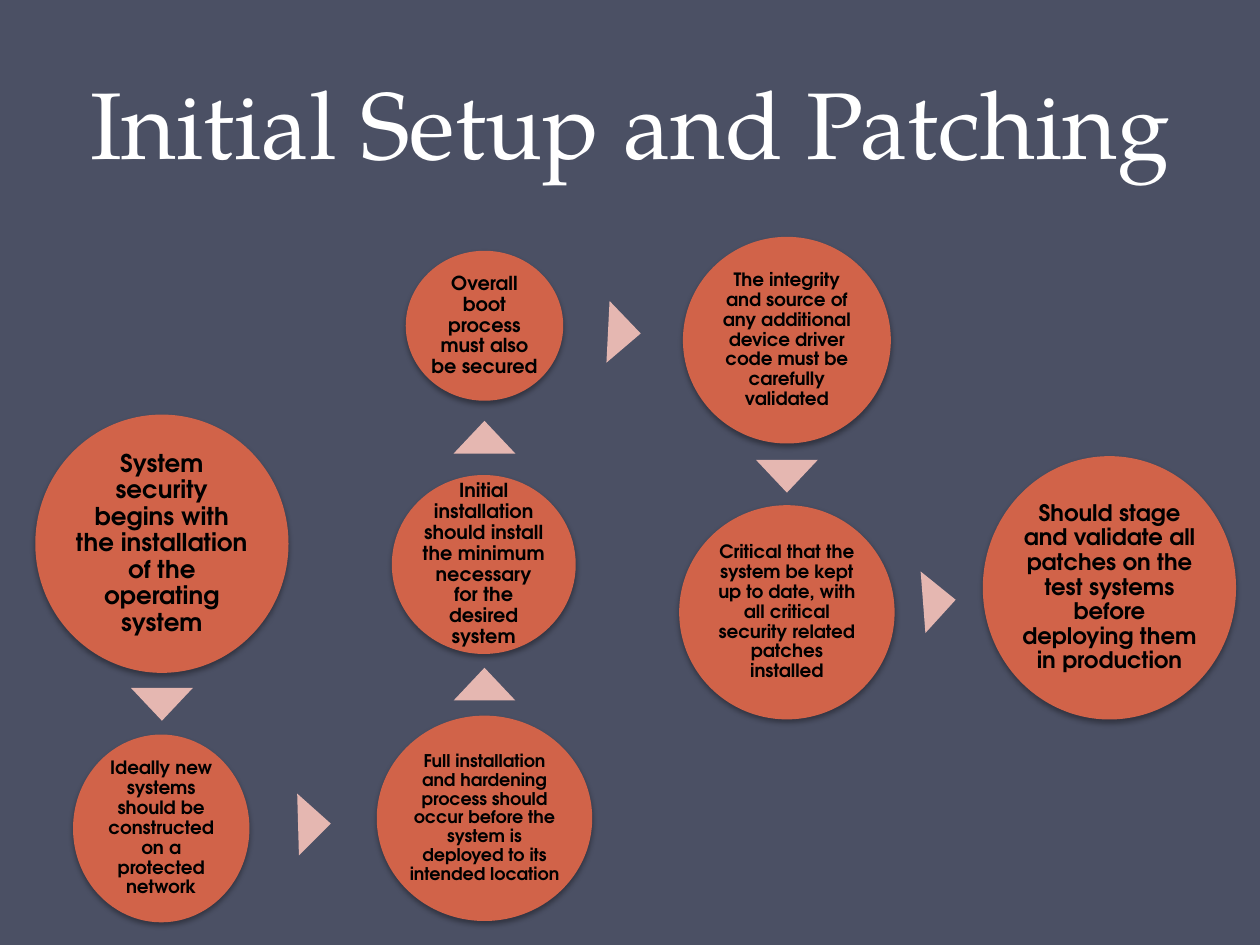
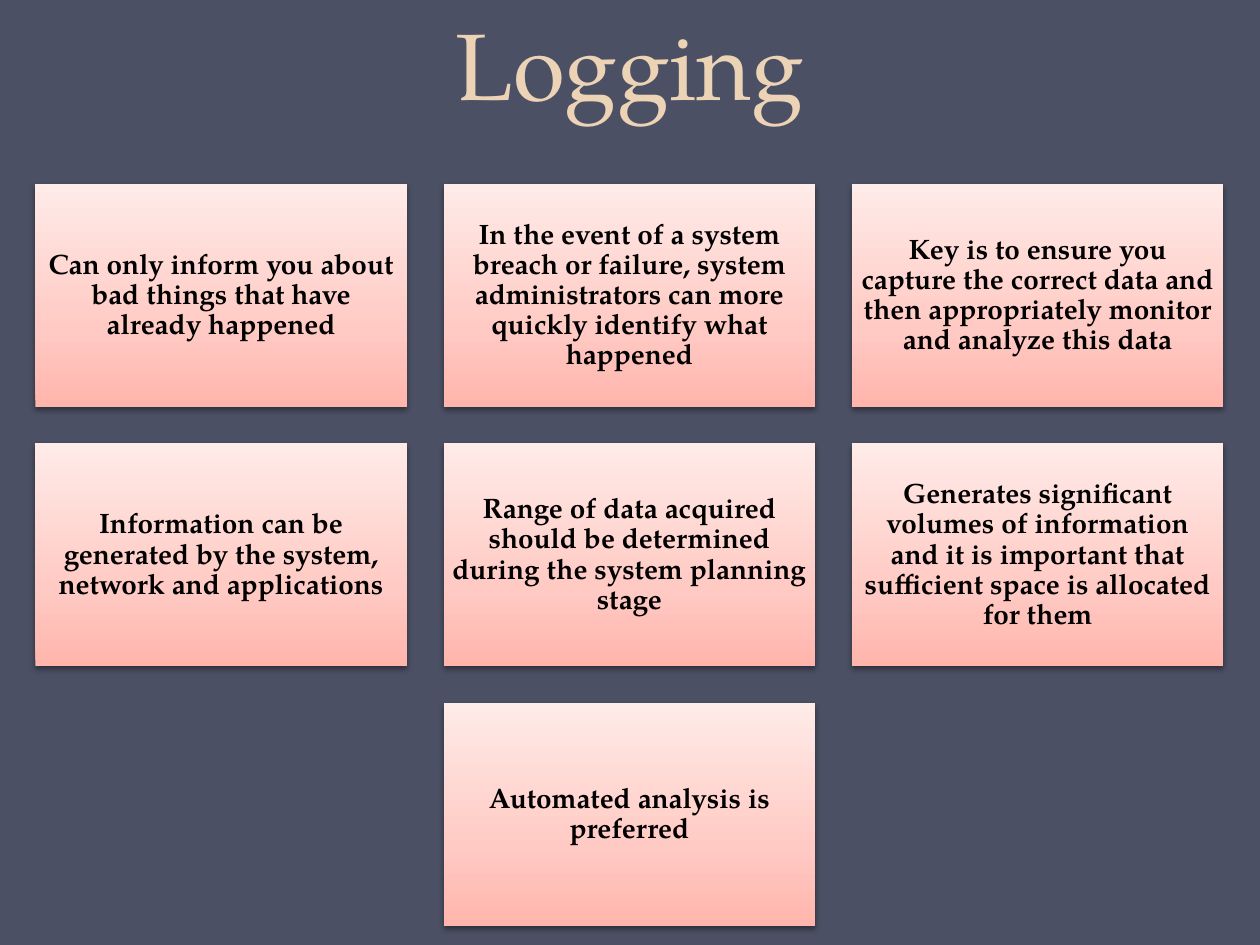
from pptx import Presentation
from pptx.dml.color import RGBColor
from pptx.enum.shapes import MSO_SHAPE
from pptx.enum.text import MSO_ANCHOR, MSO_AUTO_SIZE, PP_ALIGN
from pptx.oxml import parse_xml
from pptx.oxml.ns import nsdecls, qn
from pptx.util import Pt

PX = 9144
SERIF = "TeX Gyre Pagella"
SANS = "TeX Gyre Adventor"
NAVY, WHITE, SAND, BLACK = "4B5064", "FFFFFF", "EDD3B6", "000000"
RUST, BLUSH = "D16349", "E5B7B1"
CARD_STOPS = [(0, "FFB5AC"), (35, "FFCAC4"), (100, "FFEBE8")]


def rgb(hex_color):
    return RGBColor.from_string(hex_color)


def add_node(slide, kind, box, text, font, size, inset, alpha, dist):
    sp = slide.shapes.add_shape(kind, *[v * PX for v in box])
    sp.line.fill.background()
    sp.shadow.inherit = False
    sp.element.spPr.find(qn("a:effectLst")).append(parse_xml(
        f'<a:outerShdw {nsdecls("a")} blurRad="{Pt(3.1)}" dist="{Pt(dist)}" '
        f'dir="5400000" rotWithShape="0"><a:srgbClr val="{BLACK}">'
        f'<a:alpha val="{alpha * 1000}"/></a:srgbClr></a:outerShdw>'))
    tf = sp.text_frame
    frame = {"word_wrap": True, "vertical_anchor": MSO_ANCHOR.MIDDLE}
    for side in ("left", "top", "right", "bottom"):
        frame[f"margin_{side}"] = inset * PX
    for name, value in frame.items():
        setattr(tf, name, value)
    p = tf.paragraphs[0]
    p.alignment = PP_ALIGN.CENTER
    p.line_spacing = 0.9
    r = p.add_run()
    r.text = text
    for name, value in {"name": font, "size": Pt(size), "bold": True}.items():
        setattr(r.font, name, value)
    r.font.color.rgb = rgb(BLACK)
    return sp


prs = Presentation()
prs.slide_width = 1000 * PX
prs.slide_height = 750 * PX
bg = prs.slide_master.background.fill
bg.solid()
bg.fore_color.rgb = rgb(NAVY)

titles = [
    ("Initial Setup and Patching", (50, 0, 900, 147), WHITE),
    ("Logging", (0, 21, 1000, 79), SAND),
]
for text, box, color in titles:
    s = prs.slides.add_slide(prs.slide_layouts[5])
    title = s.shapes.title
    for name, value in zip(("left", "top", "width", "height"), box):
        setattr(title, name, value * PX)
    tf = title.text_frame
    tf.text = text
    tf.word_wrap = True
    tf.auto_size = MSO_AUTO_SIZE.NONE
    tf.vertical_anchor = MSO_ANCHOR.BOTTOM
    p = tf.paragraphs[0]
    p.alignment = PP_ALIGN.CENTER
    p.line_spacing = Pt(58)
    font = p.runs[0].font
    for name, value in {"name": SERIF, "size": Pt(54)}.items():
        setattr(font, name, value)
    font.color.rgb = rgb(color)

setup, logging = prs.slides

steps = [
    ((28, 329, 201, 205), 14, 2,
     "System security begins with the installation of the operating system"),
    ((58, 583, 140, 149), 10.5, 2,
     "Ideally new systems should be constructed on a protected network"),
    ((299, 568, 171, 163), 10, 1,
     "Full installation and hardening process should occur before the system "
     "is deployed to its intended location"),
    ((311, 377, 146, 142), 11, 2,
     "Initial installation should install the minimum necessary for the "
     "desired system"),
    ((322, 199, 125, 119), 11, 2,
     "Overall boot process must also be secured"),
    ((542, 188, 165, 164), 10.5, 2,
     "The integrity and source of any additional device driver code must be "
     "carefully validated"),
    ((539, 401, 171, 170), 10.5, 2,
     "Critical that the system be kept up to date, with all critical security "
     "related patches installed"),
    ((780, 362, 201, 209), 13, 2,
     "Should stage and validate all patches on the test systems before "
     "deploying them in production"),
]
for box, size, inset, text in steps:
    sp = add_node(setup, MSO_SHAPE.OVAL, box, text, SANS, size, inset, 35, 1.8)
    sp.fill.solid()
    sp.fill.fore_color.rgb = rgb(RUST)

pointers = [
    (104, 546, 180), (225, 641, 88.4), (360, 530, 0), (360, 334, 0),
    (471, 251, 92.9), (600, 365, 180), (721, 464, 85.6),
]
for x, y, angle in pointers:
    sp = setup.shapes.add_shape(
        MSO_SHAPE.ISOSCELES_TRIANGLE, x * PX, y * PX, 49 * PX, 26 * PX)
    sp.rotation = angle
    sp.fill.solid()
    sp.fill.fore_color.rgb = rgb(BLUSH)
    sp.line.fill.background()
    sp.shadow.inherit = False

cards = [
    "Can only inform you about bad things that have already happened",
    "In the event of a system breach or failure, system administrators can "
    "more quickly identify what happened",
    "Key is to ensure you capture the correct data and then appropriately "
    "monitor and analyze this data",
    "Information can be generated by the system, network and applications",
    "Range of data acquired should be determined during the system planning "
    "stage",
    "Generates significant volumes of information and it is important that "
    "sufficient space is allocated for them",
    "Automated analysis is preferred",
]
COLS, CARD_W, CARD_H, GAP = 3, 295, 177, 29
for i, text in enumerate(cards):
    row, col = divmod(i, COLS)
    in_row = min(COLS, len(cards) - row * COLS)
    col += (COLS - in_row) // 2
    box = (28 + col * (CARD_W + GAP), 146 + row * (CARD_H + GAP), CARD_W, CARD_H)
    sp = add_node(logging, MSO_SHAPE.RECTANGLE, box, text, SERIF, 16, 7, 38, 1.6)
    sp.fill.gradient()
    sp.fill.gradient_angle = 90
    stops = sp.element.spPr.find(qn("a:gradFill")).find(qn("a:gsLst"))
    for stop in list(stops):
        stops.remove(stop)
    for pos, color in CARD_STOPS:
        stops.append(parse_xml(
            f'<a:gs {nsdecls("a")} pos="{pos * 1000}">'
            f'<a:srgbClr val="{color}"/></a:gs>'))

prs.save("out.pptx")
